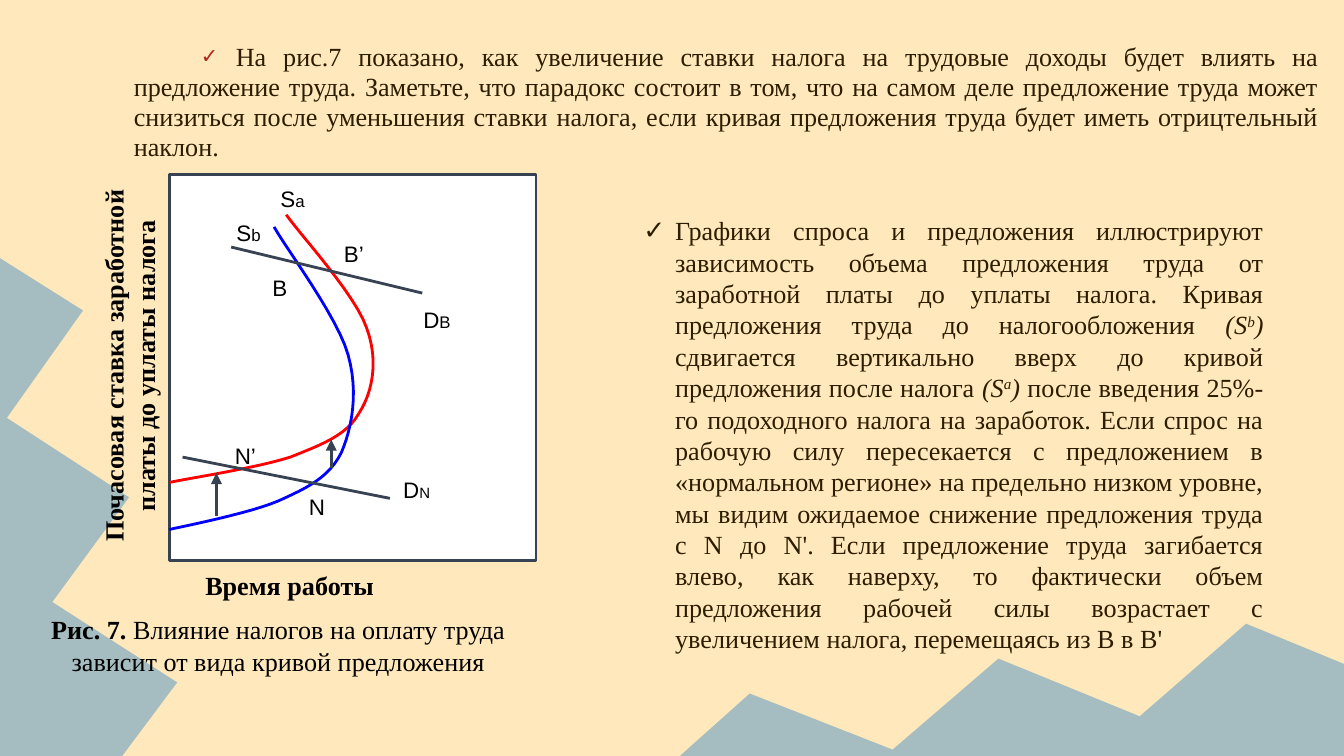
from lxml import etree
from pptx import Presentation
from pptx.dml.color import RGBColor
from pptx.enum.shapes import MSO_CONNECTOR, MSO_SHAPE
from pptx.enum.text import PP_ALIGN
from pptx.oxml.ns import qn
from pptx.util import Cm, Pt

STRAIGHT = MSO_CONNECTOR.STRAIGHT
RECTANGLE = MSO_SHAPE.RECTANGLE
LEFT, CENTER, JUSTIFY = PP_ALIGN.LEFT, PP_ALIGN.CENTER, PP_ALIGN.JUSTIFY

SANS, SERIF = "Arial", "Times New Roman"
SAND, STEEL, SLATE = "FFE8BB", "A5BDC0", "374252"
BLACK, WHITE, BROWN, CRIMSON = "000000", "FFFFFF", "2C1D00", "B0271C"
RED, BLUE = "FF0000", "0000FF"
STEPS = 12

LEFT_PEAKS = [(0, 4.88), (0, 14.29), (2.31, 14.29), (3.35, 12.9), (0.99, 11.38),
              (2.44, 9.4), (0.13, 7.9), (1.57, 5.87)]
BOTTOM_PEAKS = [(12.85, 14.29), (25.4, 14.29), (25.4, 12.55), (23.55, 11.79),
                (21.54, 13.54), (18.87, 12.45), (16.87, 14.17), (14.17, 13.11)]

SUPPLY_AFTER = [(5.41, 4.06), (5.66, 4.42), (6.71, 5.56), (6.93, 6.2),
                (7.16, 6.83), (7.04, 7.42), (6.78, 7.82),
                (6.55, 8.23), (6.07, 8.41), (5.49, 8.64),
                (4.88, 8.84), (3.58, 9.04), (3.2, 9.12)]
SUPPLY_BEFORE = [(5.18, 4.29), (5.41, 4.7), (6.38, 5.99), (6.58, 6.71),
                 (6.78, 7.42), (6.65, 8.1), (6.45, 8.56),
                 (6.22, 9.02), (5.82, 9.22), (5.26, 9.47),
                 (4.72, 9.7), (3.56, 9.93), (3.2, 10.01)]

DEMAND_LINES = [(4.37, 4.67, 7.98, 5.54), (3.45, 8.64, 7.37, 9.42)]
SHIFT_ARROWS = [(4.09, 9.75, 4.09, 8.94), (6.26, 8.84, 6.26, 8.31)]

POINT_LABELS = [
    (4.19, 8.1, "N’", "", 9), (5.59, 9.07, "N", "", 9),
    (7.37, 8.76, "D", "N", 8), (7.75, 5.54, "D", "B", 9),
    (4.22, 3.89, "S", "b", 9), (5.05, 3.25, "S", "a", 9),
    (4.9, 4.93, "B", "", 9), (6.25, 4.29, "B’", "", 9),
]

INTRO = ("На рис.7 показано, как увеличение ставки налога на трудовые доходы будет влиять "
         "на предложение труда. Заметьте, что парадокс состоит в том, что на самом деле "
         "предложение труда может снизиться после уменьшения ставки налога, если кривая "
         "предложения труда будет иметь отрицтельный наклон.")
BEFORE_TAX = ("Графики спроса и предложения иллюстрируют зависимость объема предложения труда "
              "от заработной платы до уплаты налога. Кривая предложения труда до "
              "налогообложения ")
SHIFT = "сдвигается вертикально вверх до кривой предложения после налога "
RESULT = ("после введения 25%-го подоходного налога на заработок. Если спрос на рабочую силу "
          "пересекается с предложением в «нормальном регионе» на предельно низком уровне, мы "
          "видим ожидаемое снижение предложения труда с N до N'. Если предложение труда "
          "загибается влево, как наверху, то фактически объем предложения рабочей силы "
          "возрастает с увеличением налога, перемещаясь из В в В'")


def rgb(color):
    return RGBColor.from_string(color)


def add_outline(s, points, closed, fill=None, line=None):
    pts = [(Cm(x), Cm(y)) for x, y in points]
    builder = s.shapes.build_freeform(*pts[0], scale=1.0)
    builder.add_line_segments(pts[1:], close=closed)
    style(builder.convert_to_shape(), fill, line)


def style(sp, fill, line):
    sp.shadow.inherit = False
    if fill:
        sp.fill.solid()
        sp.fill.fore_color.rgb = rgb(fill)
    else:
        sp.fill.background()
    if line:
        sp.line.color.rgb = rgb(line)
        sp.line.width = Pt(1.5)
    else:
        sp.line.fill.background()


def bezier_points(knots):
    points = [knots[0]]
    for i in range(0, len(knots) - 1, 3):
        a, b, c, d = knots[i:i + 4]
        for step in range(1, STEPS + 1):
            t = step / STEPS
            u = 1 - t
            points.append(tuple(
                u**3 * a[k] + 3 * u * u * t * b[k] + 3 * u * t * t * c[k] + t**3 * d[k]
                for k in (0, 1)))
    return points


def add_line(s, ends, arrow=False):
    cn = s.shapes.add_connector(STRAIGHT, *[Cm(v) for v in ends])
    cn.line.color.rgb = rgb(SLATE)
    cn.line.width = Pt(1.5)
    if arrow:
        etree.SubElement(cn.line._get_or_add_ln(), qn("a:tailEnd"), type="triangle")
    etree.SubElement(cn._element.spPr, qn("a:effectLst"))


def add_text(s, box, runs, font=SERIF, size=14, color=BLACK, align=LEFT):
    sp = s.shapes.add_textbox(*[Cm(v) for v in box])
    tf = sp.text_frame
    tf.word_wrap = True
    tf.margin_left = tf.margin_right = tf.margin_top = tf.margin_bottom = Cm(0.25)
    p = tf.paragraphs[0]
    p.alignment = align
    for text, options in runs:
        r = p.add_run()
        r.text = text
        r.font.name = options.get("font", font)
        r.font.size = Pt(options.get("size", size))
        r.font.bold = options.get("bold", False)
        r.font.italic = options.get("italic", False)
        r.font.color.rgb = rgb(color)
        if options.get("raised"):
            r._r.get_or_add_rPr().set("baseline", "30000")
    return sp


def add_check_bullet(p, indent, color=BROWN, percent=100):
    pPr = p._p.get_or_add_pPr()
    pPr.set("marL", str(Cm(0.6)))
    pPr.set("indent", str(Cm(indent)))
    clr = etree.SubElement(pPr, qn("a:buClr"))
    etree.SubElement(clr, qn("a:srgbClr"), val=color)
    etree.SubElement(pPr, qn("a:buSzPct"), val=str(percent * 1000))
    etree.SubElement(pPr, qn("a:buFont"), typeface=SANS)
    etree.SubElement(pPr, qn("a:buChar"), char="✓")


def add_intro(s):
    sp = add_text(s, (1.68, 0.56, 23.5, 3.28), [(" ", {"font": SANS}), (INTRO, {})],
                  color=BROWN, align=JUSTIFY)
    p = sp.text_frame.paragraphs[0]
    add_check_bullet(p, 1.27, CRIMSON, 79)
    p.line_spacing = 0.95


def add_graph(s):
    frame = s.shapes.add_shape(RECTANGLE, Cm(3.2), Cm(3.3), Cm(6.93), Cm(7.29))
    style(frame, WHITE, SLATE)
    for knots, color in ((SUPPLY_AFTER, RED), (SUPPLY_BEFORE, BLUE)):
        add_outline(s, bezier_points(knots), False, line=color)
    for ends in DEMAND_LINES:
        add_line(s, ends)
    for ends in SHIFT_ARROWS:
        add_line(s, ends, arrow=True)
    for x, y, letter, index, size in POINT_LABELS:
        runs = [(letter, {})]
        if index:
            runs.append((index, {"size": size}))
        add_text(s, (x, y, 1.3, 0.53), runs, SANS, 12)


def add_captions(s):
    bold = {"bold": True}
    add_text(s, (3.63, 10.52, 5.84, 0.97), [("Время работы", bold)])
    sp = add_text(s, (-1.73, 6.43, 7.62, 0.97),
                  [("Почасовая ставка заработной платы до уплаты налога", bold)], align=CENTER)
    sp.rotation = 270
    add_text(s, (0.41, 11.35, 9.7, 2.01),
             [("Рис. 7. ", bold),
              ("Влияние налогов на оплату труда зависит от вида кривой предложения", {})],
             align=CENTER)


def add_explanation(s):
    italic, raised = {"italic": True}, {"italic": True, "raised": True}
    runs = [(BEFORE_TAX, {}), ("(S", italic), ("b", raised), (") ", italic),
            (SHIFT, {}), ("(S", italic), ("a", raised), (") ", italic), (RESULT, {})]
    sp = add_text(s, (11.91, 3.81, 12.22, 10.48), runs, color=BROWN, align=JUSTIFY)
    add_check_bullet(sp.text_frame.paragraphs[0], -0.6)


def main():
    prs = Presentation()
    prs.slide_width, prs.slide_height = Cm(25.4), Cm(14.29)
    s = prs.slides.add_slide(prs.slide_layouts[6])
    s.background.fill.solid()
    s.background.fill.fore_color.rgb = rgb(SAND)
    for peaks in (LEFT_PEAKS, BOTTOM_PEAKS):
        add_outline(s, peaks, True, fill=STEEL)
    add_intro(s)
    add_graph(s)
    add_captions(s)
    add_explanation(s)
    prs.save("out.pptx")


if __name__ == "__main__":
    main()
